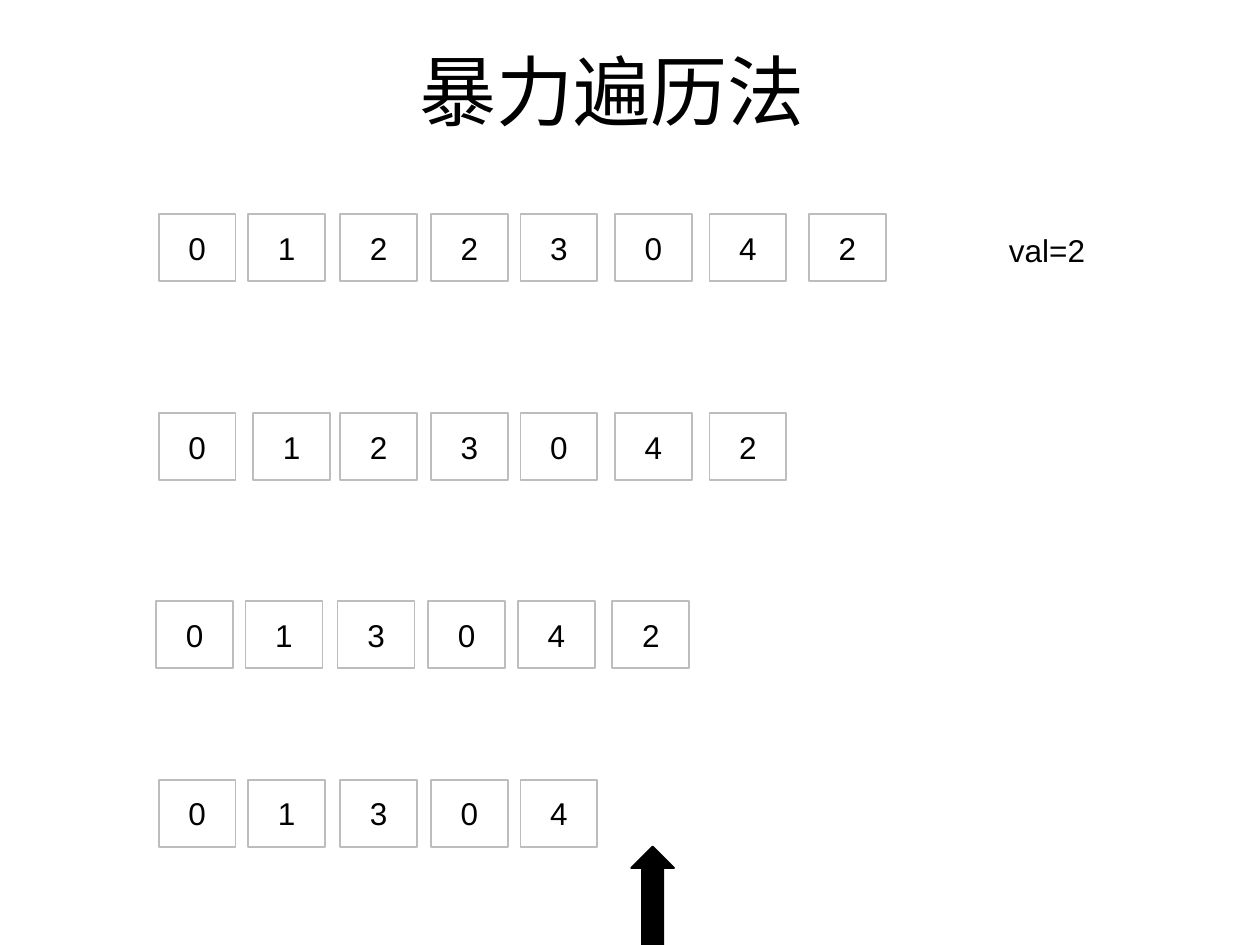
"""Build a slide showing brute-force removal of a value from an array."""
from pptx import Presentation
from pptx.dml.color import RGBColor
from pptx.enum.shapes import MSO_SHAPE
from pptx.enum.text import MSO_ANCHOR, PP_ALIGN
from pptx.util import Pt

RECTANGLE, UP_ARROW = MSO_SHAPE.RECTANGLE, MSO_SHAPE.UP_ARROW
LEFT, CENTER = PP_ALIGN.LEFT, PP_ALIGN.CENTER
TOP, MIDDLE = MSO_ANCHOR.TOP, MSO_ANCHOR.MIDDLE

THEME = {
    "font": "Arial",
    "ink": RGBColor(0, 0, 0),
    "paper": RGBColor(255, 255, 255),
    "border": RGBColor(0xBD, 0xBD, 0xBD),
    "title_size": 44,
    "body_size": 18,
}


def write_text(shape, text, size=THEME["body_size"], align=CENTER, anchor=MIDDLE):
    frame = shape.text_frame
    frame.word_wrap = True
    frame.vertical_anchor = anchor
    paragraph = frame.paragraphs[0]
    paragraph.alignment = align
    run = paragraph.add_run()
    run.text = text
    run.font.name = THEME["font"]
    run.font.size = Pt(size)
    run.font.color.rgb = THEME["ink"]


def add_block(kind, left, top, width, height, fill, line):
    shape = slide.shapes.add_shape(kind, Pt(left), Pt(top), Pt(width), Pt(height))
    shape.shadow.inherit = False
    shape.fill.solid()
    shape.fill.fore_color.rgb = fill
    shape.line.color.rgb = line
    shape.line.width = Pt(1)
    return shape


presentation = Presentation()
presentation.slide_width = Pt(720)
presentation.slide_height = Pt(540)
slide = presentation.slides.add_slide(presentation.slide_layouts[6])

title = slide.shapes.add_textbox(Pt(82), Pt(21.6), Pt(535.7), Pt(59))
write_text(title, "暴力遍历法", size=THEME["title_size"])

column_lefts = [90.7, 141.8, 194.4, 246.2, 297.4, 351.4, 405.4, 462.2]
shifted_lefts = [left - 1.5 for left in column_lefts]
nudged_lefts = [90.7, 144.7] + column_lefts[2:]
array_rows = [
    (122.4, column_lefts, "01223042"),
    (236.2, nudged_lefts, "0123042"),
    (343.6, shifted_lefts, "013042"),
    (445.7, column_lefts, "01304"),
]
for top, lefts, digits in array_rows:
    for left, digit in zip(lefts, digits):
        cell = add_block(RECTANGLE, left, top, 44, 38.2, THEME["paper"], THEME["border"])
        write_text(cell, digit)

value_label = slide.shapes.add_textbox(Pt(569.5), Pt(128.2), Pt(77), Pt(28.8))
write_text(value_label, "val=2", align=LEFT, anchor=TOP)

add_block(UP_ARROW, 360.7, 483.8, 24.5, 59.8, THEME["ink"], THEME["ink"])

presentation.save("out.pptx")
